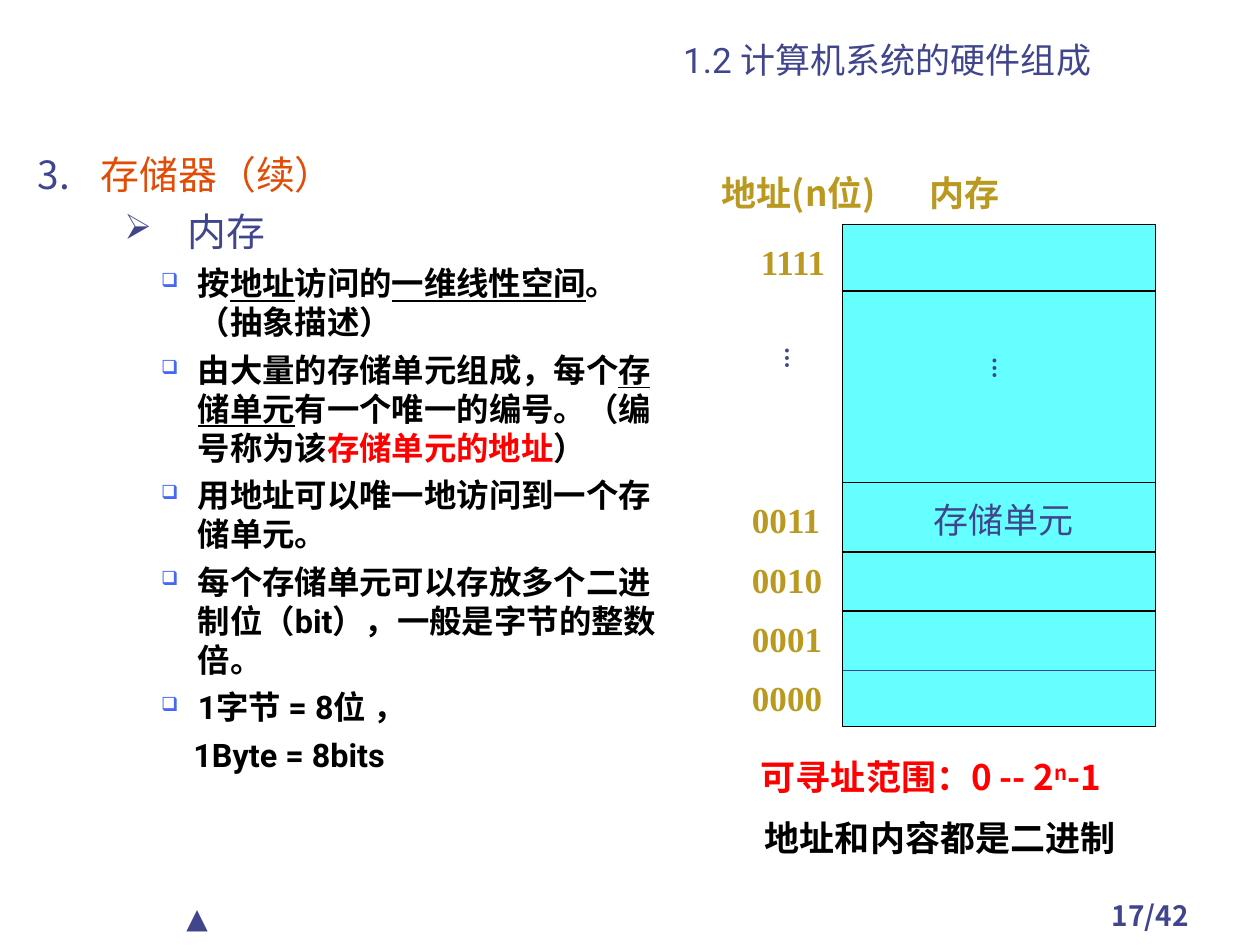
from dataclasses import dataclass

from lxml import etree
from pptx import Presentation
from pptx.dml.color import RGBColor
from pptx.enum.shapes import MSO_CONNECTOR, MSO_SHAPE
from pptx.enum.text import MSO_ANCHOR, MSO_AUTO_SIZE, PP_ALIGN
from pptx.oxml.ns import qn
from pptx.util import Cm, Pt

RECT, STRAIGHT = MSO_SHAPE.RECTANGLE, MSO_CONNECTOR.STRAIGHT
CENTER, LEFT = PP_ALIGN.CENTER, PP_ALIGN.LEFT
BOTTOM, NO_FIT = MSO_ANCHOR.BOTTOM, MSO_AUTO_SIZE.NONE


@dataclass(frozen=True)
class Theme:
    indigo: str = "40458C"
    orange: str = "E24C05"
    gold: str = "BA9921"
    blue: str = "4768F5"
    cyan: str = "66FFFF"
    red: str = "FF0000"
    black: str = "000000"
    sans: str = "Roboto"
    cjk: str = "Noto Sans CJK SC"
    serif: str = "Times New Roman"
    heading: float = 22.2
    label: float = 20
    detail: float = 18.5
    footer: float = 16


T = Theme()

# Each paragraph is a list of (text, style); "u" underlines, "red" highlights.
DETAILS = [
    [("按", ""), ("地址", "u"), ("访问的", ""), ("一维线性空间", "u"), ("。（抽象描述）", "")],
    [("由大量的存储单元组成，每个", ""), ("存储单元", "u"),
     ("有一个唯一的编号。（编号称为该", ""), ("存储单元的地址", "red"), ("）", "")],
    [("用地址可以唯一地访问到一个存储单元。", "")],
    [("每个存储单元可以存放多个二进制位（bit），一般是字节的整数倍。", "")],
    [("1字节 = 8位 ，", "")],
]

# Row height, address, left and top offset of the address, content (cm)
ROWS = [
    (1.35, "1111", -1.9, 0.2, ""),
    (3.86, "…", -1.67, 0.86, "…"),
    (1.4, "0011", -2.08, 0.2, "存储单元"),
    (1.19, "0010", -2.08, 0, ""),
    (1.2, "0001", -2.08, 0, ""),
    (1.13, "0000", -2.08, 0, ""),
]


def style(r, size, color, font=T.sans, bold=False):
    r.font.size, r.font.name, r.font.bold = Pt(size), font, bold
    r.font.color.rgb = RGBColor.from_string(color)
    ea = etree.SubElement(r._r.get_or_add_rPr(), qn("a:ea"))
    ea.set("typeface", T.cjk)


def add_label(s, x, y, w, h, text, color=T.indigo, font=T.sans, bold=False,
              size=T.label, align=LEFT):
    box = s.shapes.add_textbox(Cm(x), Cm(y), Cm(w), Cm(h))
    tf = box.text_frame
    tf.word_wrap = True
    p = tf.paragraphs[0]
    p.text, p.alignment = text, align
    style(p.runs[0], size, color, font, bold)
    return tf


def add_ellipsis(s, x, y):
    tf = add_label(s, x, y, 1.35, 2.39, "…")
    tf.margin_left = tf.margin_right = Cm(0.13)
    tf.margin_top = tf.margin_bottom = Cm(0.25)
    tf._txBody.bodyPr.set("vert", "eaVert")


def set_bullet(p, color, kind, percent=100, **attrs):
    pPr = p._p.get_or_add_pPr()
    clr = etree.SubElement(pPr, qn("a:buClr"))
    etree.SubElement(clr, qn("a:srgbClr")).set("val", color)
    etree.SubElement(pPr, qn("a:buSzPct")).set("val", str(percent * 1000))
    bullet = etree.SubElement(pPr, qn(kind))
    for name, value in attrs.items():
        bullet.set(name, value)


def add_title(s, x, y, w, h):
    title = s.shapes.title
    title.left, title.top, title.width, title.height = Cm(x), Cm(y), Cm(w), Cm(h)
    tf = title.text_frame
    tf.text = "1.2 计算机系统的硬件组成"
    tf.vertical_anchor, tf.auto_size = BOTTOM, NO_FIT
    p = tf.paragraphs[0]
    p.alignment = CENTER
    style(p.runs[0], T.label, T.indigo)


def add_outline(s, x, y, w, h):
    tf = s.shapes.add_textbox(Cm(x), Cm(y), Cm(w), Cm(h)).text_frame
    tf.word_wrap = True

    def add_item(parts, margin, hanging, before, size, color, bold=False):
        p = tf.add_paragraph() if tf.text else tf.paragraphs[0]
        p.space_before, p.line_spacing = Pt(before), 1.0
        pPr = p._p.get_or_add_pPr()
        pPr.set("marL", str(Cm(margin)))
        pPr.set("indent", str(-Cm(hanging)))
        for text, mark in parts:
            r = p.add_run()
            r.text = text
            style(r, size, T.red if mark == "red" else color, bold=bold)
            r.font.underline = mark == "u"
        return p

    p = add_item([("存储器（续）", "")], 1.27, 1.27, 6, T.heading, T.orange)
    set_bullet(p, T.indigo, "a:buAutoNum", type="arabicPeriod", startAt="3")
    p = add_item([("内存", "")], 3.02, 1.27, 6, T.heading, T.indigo)
    set_bullet(p, T.indigo, "a:buChar", 90, char="➢")
    for parts in DETAILS:
        p = add_item(parts, 3.23, 0.74, 5, T.detail, T.black, True)
        set_bullet(p, T.blue, "a:buChar", 60, char="❑")
    add_item([("1Byte = 8bits", "")], 3.14, 0, 5, T.detail, T.black, True)


def add_divider(s, x, y, w, color):
    line = s.shapes.add_connector(STRAIGHT, Cm(x), Cm(y), Cm(x + w), Cm(y))
    line.line.color.rgb = RGBColor.from_string(color)
    line.line.width = Pt(0.75)
    etree.SubElement(line._element.spPr, qn("a:effectLst"))


def add_memory_map(s, x, y, w, h):
    block = s.shapes.add_shape(RECT, Cm(x), Cm(y), Cm(w), Cm(h))
    block.shadow.inherit = False
    block.fill.solid()
    block.fill.fore_color.rgb = RGBColor.from_string(T.cyan)
    block.line.color.rgb = RGBColor.from_string(T.black)
    block.line.width = Pt(0.75)

    add_label(s, x - 2.69, y - 1.19, 4.19, 1.12, "地址(n位)", T.gold, T.cjk, True)
    add_label(s, x + 1.5, y - 1.19, 3, 1.12, "内存", T.gold, T.cjk, True)

    top = y
    for i, (height, address, dx, dy, content) in enumerate(ROWS):
        if i:
            add_divider(s, x, top, w, T.indigo if i == len(ROWS) - 1 else T.black)
        if address == "…":
            add_ellipsis(s, x + dx, top + dy)
            add_ellipsis(s, x + 2.51, top + 1.06)
        else:
            add_label(s, x + dx, top + dy, 2.39, 1.12, address, T.gold, T.serif, True)
            if content:
                add_label(s, x + 1.57, top + dy, 4.14, 1.12, content)
        top += height


def add_range_notes(s, x, y, w, h):
    tf = add_label(s, x, y, w, h / 2, "可寻址范围：0 -- 2", T.red, T.cjk, True)
    for text in ("n", "-1"):
        r = tf.paragraphs[0].add_run()
        r.text = text
        style(r, T.label, T.red, T.cjk, True)
        if text == "n":
            r._r.get_or_add_rPr().set("baseline", "30000")
    add_label(s, x + 0.08, y + 1.22, w, h / 2, "地址和内容都是二进制", T.black, T.cjk, True)


def add_footer(s, x, y, w, h):
    add_label(s, x, y + 0.05, 3.6, h, "▲", size=T.footer)
    add_label(s, x + w - 3.6, y, 3.6, h, "17/42", T.indigo, T.cjk, True, T.footer, CENTER)


def main():
    prs = Presentation()
    prs.slide_width, prs.slide_height = Cm(25.4), Cm(19.05)
    s = prs.slides.add_slide(prs.slide_layouts[5])
    add_title(s, 10.8, 0.69, 14.17, 1.07)
    add_outline(s, 0.51, 2.92, 13.21, 13.77)
    add_memory_map(s, 16.99, 4.52, 6.3, 10.13)
    add_range_notes(s, 15.09, 15.11, 8.2, 2.24)
    add_footer(s, 3.51, 17.98, 21.48, 0.9)
    prs.save("out.pptx")


if __name__ == "__main__":
    main()
